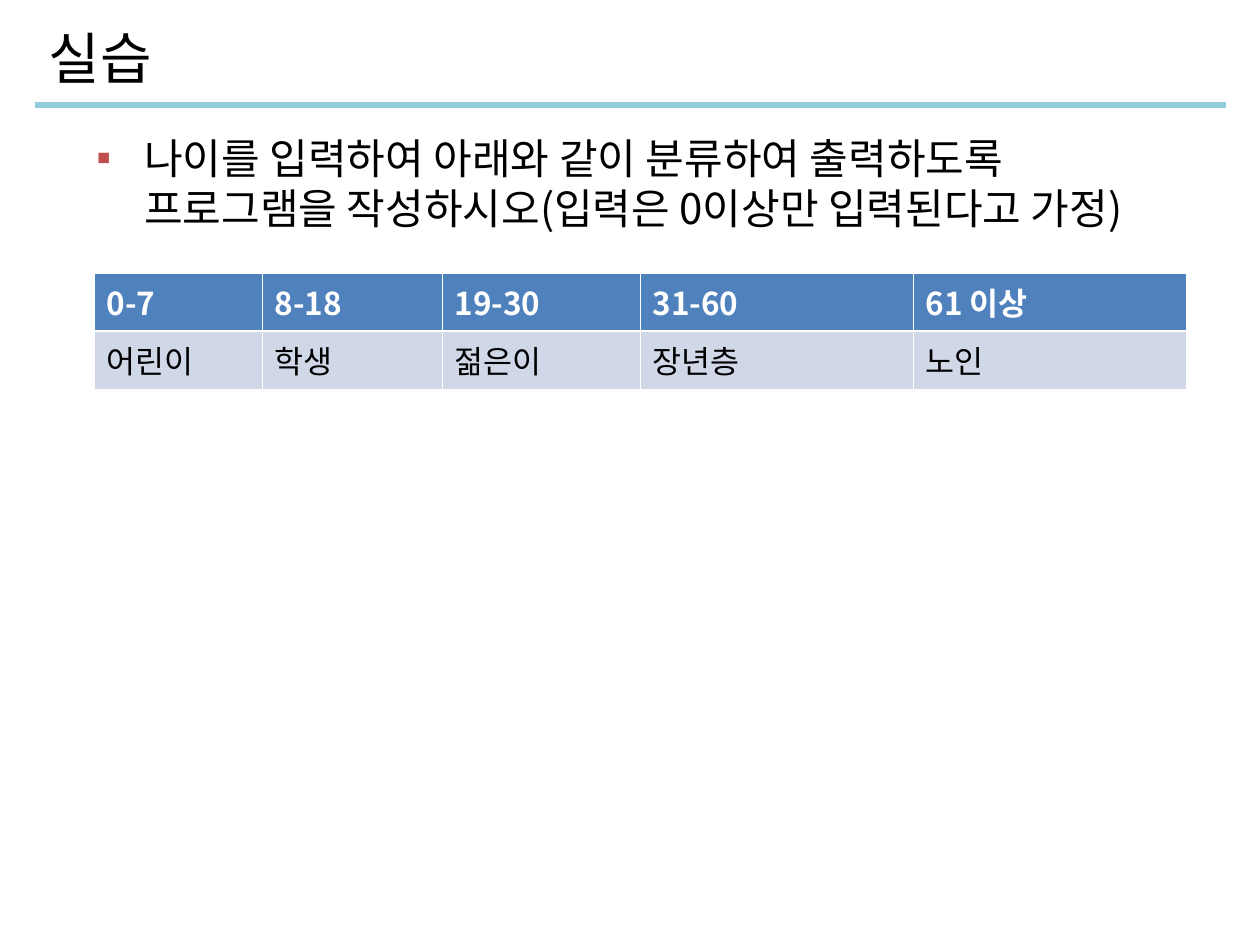
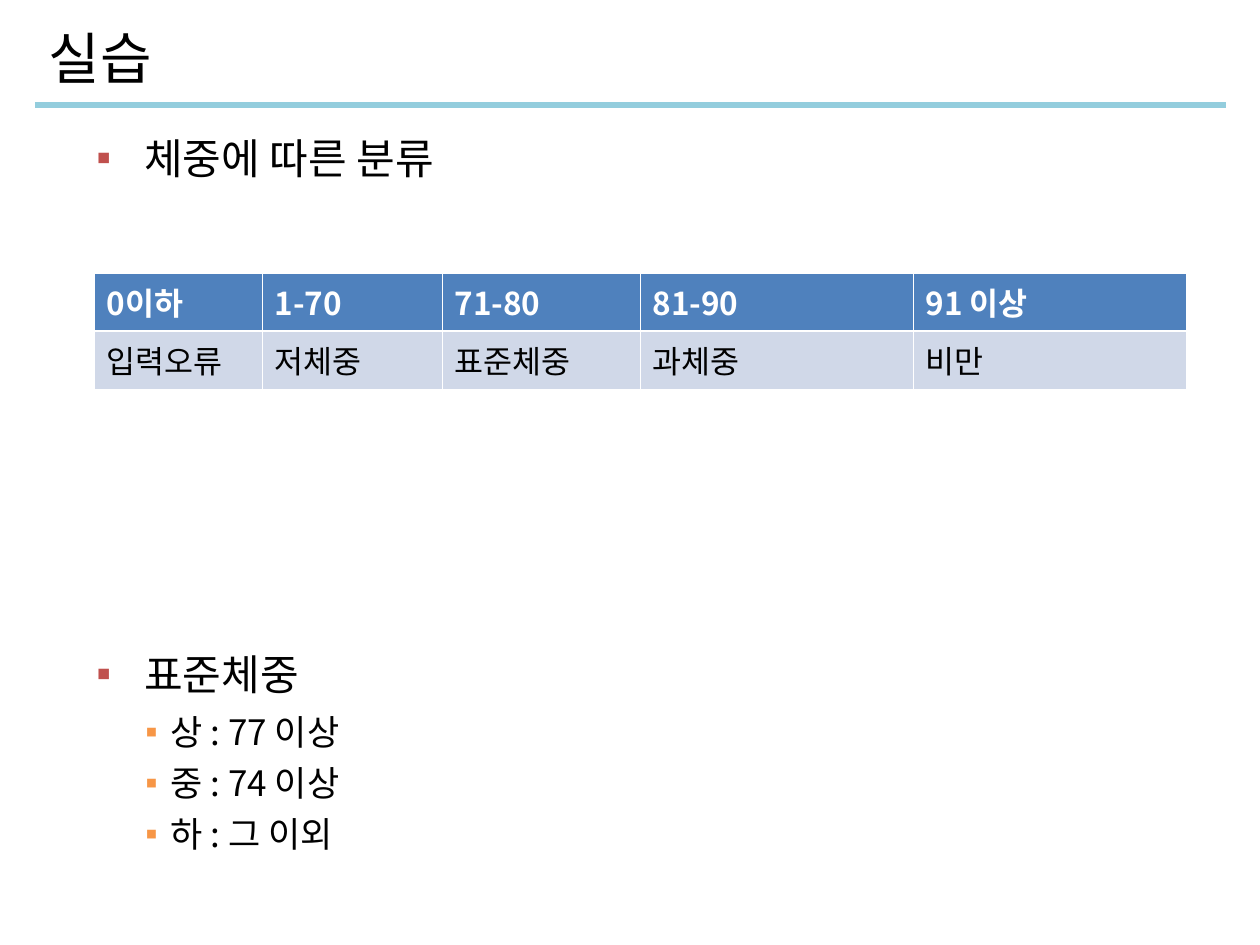
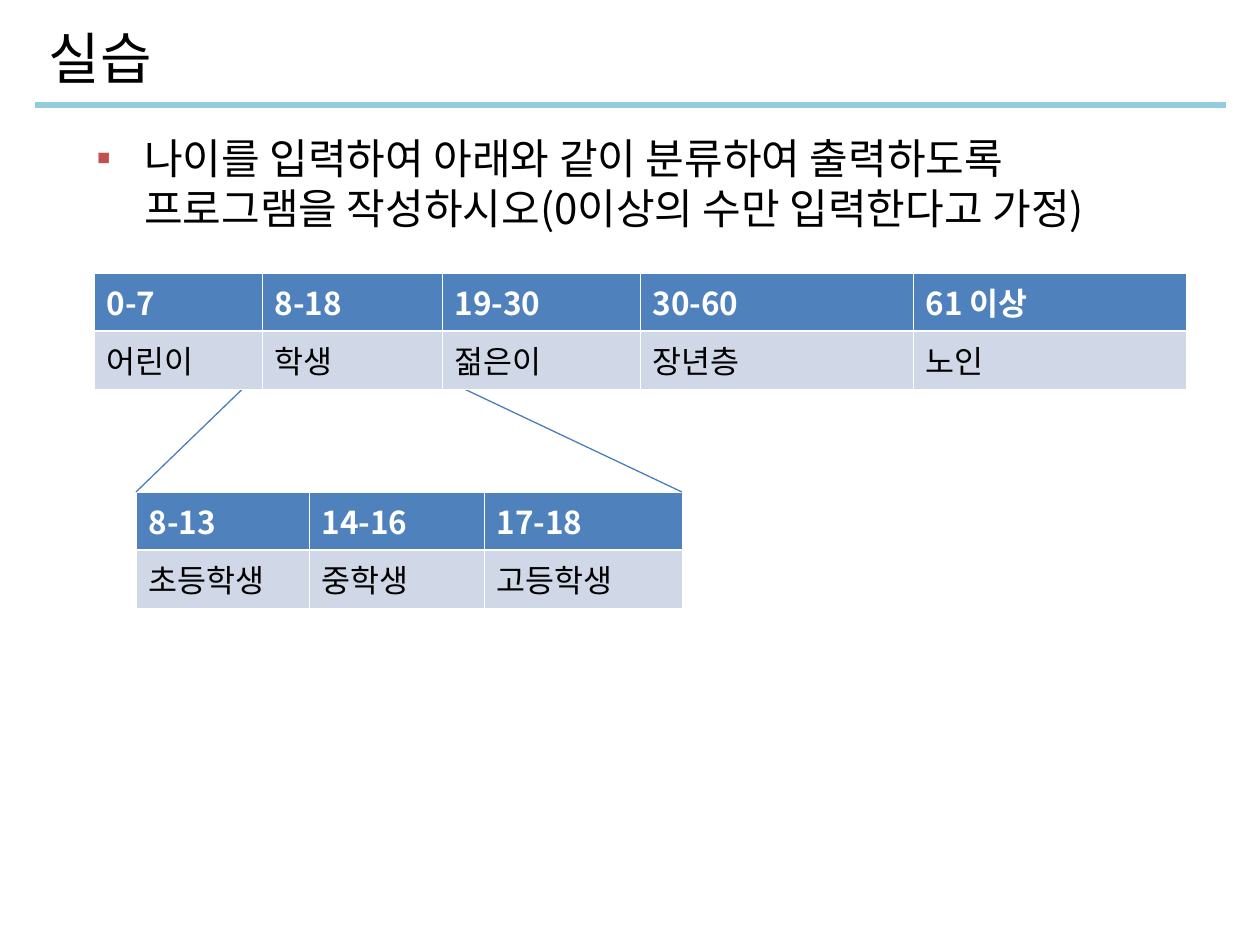
from pptx import Presentation
from pptx.dml.color import RGBColor as RGB
from pptx.enum.shapes import MSO_CONNECTOR as CONNECTOR
from pptx.enum.text import MSO_ANCHOR as ANCHOR, PP_ALIGN as ALIGN
from pptx.oxml.ns import qn
from pptx.util import Pt
from lxml.etree import SubElement

PX = 914400 / 126
FONT = "Noto Sans CJK KR"
BULLET_FONT = "Arial"
BLACK = RGB(0x00, 0x00, 0x00)
WHITE = RGB(0xFF, 0xFF, 0xFF)
RULE = RGB(0x93, 0xCD, 0xDD)
HEADER = RGB(0x4F, 0x81, 0xBD)
ROW = RGB(0xD0, 0xD8, 0xE8)
CALLOUT = RGB(0x4A, 0x7E, 0xBB)
RED = RGB(0xC0, 0x50, 0x4D)
ORANGE = RGB(0xF7, 0x96, 0x46)

# Bullet levels: text format, paragraph spacing, indent in px, bullet colour
LEVELS = [
    {"size": 24, "spacing": {"space_before": Pt(6), "space_after": Pt(2)},
     "left": 48, "hang": 48, "bullet": RED},
    {"size": 20, "spacing": {"space_before": Pt(5), "space_after": Pt(0)},
     "left": 74, "hang": 25, "bullet": ORANGE},
]

CLASS_COLUMNS = [168, 180, 198, 273, 273]
STUDENT_COLUMNS = [173, 175, 198]
AGE_NAMES = ["어린이", "학생", "젊은이", "장년층", "노인"]
ROW_HEIGHT = 58
THIN, THICK = 0.45, 1.47


def px(*lengths):
    return [round(length * PX) for length in lengths]


def apply(target, values):
    for name, value in values.items():
        setattr(target, name, value)


def write(paragraph, text, size, color=BLACK, bold=False):
    run = paragraph.add_run()
    run.text = text
    apply(run.font, {"size": Pt(size), "name": FONT, "bold": bold})
    run.font.color.rgb = color
    run.font._element.set("kern", "0")
    SubElement(run.font._element, qn("a:ea"), typeface=FONT)


def add_line(slide, start, end, color, width):
    line = slide.shapes.add_connector(CONNECTOR.STRAIGHT, *px(*start, *end))
    line.line.color.rgb = color
    line.line.width = Pt(width)
    SubElement(line._element.spPr, qn("a:effectLst"))


def add_exercise(deck):
    """Slide with the shared title and the rule under it."""
    slide = deck.slides.add_slide(deck.slide_layouts[5])
    add_line(slide, (35, 105), (1226, 105), RULE, 3.5)
    title = slide.shapes.title
    left, top, width, height = px(36, 11, 1124, 93)
    apply(title, {"left": left, "top": top, "width": width, "height": height})
    apply(title.text_frame, {"vertical_anchor": ANCHOR.MIDDLE, "word_wrap": True})
    heading = title.text_frame.paragraphs[0]
    heading.alignment = ALIGN.LEFT
    write(heading, "실습", 32)
    return slide


def add_bullets(slide, items, gaps=None):
    """Bullets from (level, text) pairs; gaps gives the points above an item."""
    frame = slide.shapes.add_textbox(*px(84, 126, 1124, 753)).text_frame
    frame.word_wrap = True
    for index, (level, text) in enumerate(items):
        style = LEVELS[level]
        item = frame.add_paragraph() if index else frame.paragraphs[0]
        apply(item, {"level": level, **style["spacing"]})
        if gaps and index in gaps:
            item.space_before = Pt(gaps[index])
        left, hang = px(style["left"], style["hang"])
        props = item._p.get_or_add_pPr()
        props.set("marL", str(left))
        props.set("indent", str(-hang))
        color = SubElement(props, qn("a:buClr"))
        SubElement(color, qn("a:srgbClr"), val=str(style["bullet"]))
        SubElement(props, qn("a:buFont"), typeface=BULLET_FONT)
        SubElement(props, qn("a:buChar"), char="▪")
        write(item, text, style["size"])


def add_borders(cell, widths):
    props = cell._tc.get_or_add_tcPr()
    for position, (side, width) in enumerate(widths.items()):
        border = props.makeelement(qn(f"a:{side}"), {"w": str(Pt(width))})
        fill = SubElement(border, qn("a:solidFill"))
        SubElement(fill, qn("a:srgbClr"), val=str(WHITE))
        props.insert(position, border)


def add_classes(slide, left, top, columns, ranges, names):
    """Table with the ranges as header and the class names below."""
    table = slide.shapes.add_table(
        2, len(columns), *px(left, top, sum(columns), 2 * ROW_HEIGHT)).table
    apply(table, {"first_row": False, "horz_banding": False})
    for column, width in zip(table.columns, px(*columns)):
        column.width = width
    rows = [(ranges, HEADER, WHITE, True, THIN, THICK),
            (names, ROW, BLACK, False, THICK, THIN)]
    for r, (texts, fill, color, bold, above, below) in enumerate(rows):
        for c, text in enumerate(texts):
            cell = table.cell(r, c)
            cell.fill.solid()
            cell.fill.fore_color.rgb = fill
            add_borders(cell, {"lnL": THIN, "lnR": THIN, "lnT": above, "lnB": below})
            write(cell.text_frame.paragraphs[0], text, 18, color, bold)


def add_main_classes(slide, ranges, names):
    add_classes(slide, 94, 273, CLASS_COLUMNS, ranges, names)


def main():
    deck = Presentation()
    deck.slide_width, deck.slide_height = px(1260, 945)

    # Age classes
    ages = add_exercise(deck)
    add_bullets(ages, [(0, "나이를 입력하여 아래와 같이 분류하여 출력하도록 "
                           "프로그램을 작성하시오(입력은 0이상만 입력된다고 가정)")])
    add_main_classes(ages, ["0-7", "8-18", "19-30", "31-60", "61 이상"], AGE_NAMES)

    # Weight classes
    weights = add_exercise(deck)
    add_bullets(weights, [(0, "체중에 따른 분류"), (0, "표준체중"), (1, "상 : 77 이상"),
                          (1, "중 : 74 이상"), (1, "하 : 그 이외")], gaps={1: 264})
    add_main_classes(weights, ["0이하", "1-70", "71-80", "81-90", "91 이상"],
                     ["입력오류", "저체중", "표준체중", "과체중", "비만"])

    # Age classes with the students split further
    students = add_exercise(deck)
    add_bullets(students, [(0, "나이를 입력하여 아래와 같이 분류하여 출력하도록 "
                               "프로그램을 작성하시오(0이상의 수만 입력한다고 가정)")])
    left, top = 136, 492
    add_classes(students, left, top, STUDENT_COLUMNS, ["8-13", "14-16", "17-18"],
                ["초등학생", "중학생", "고등학생"])
    add_line(students, (left, top), (257, 375), CALLOUT, 0.75)
    add_line(students, (441, 378), (left + sum(STUDENT_COLUMNS), top), CALLOUT, 0.75)
    add_main_classes(students, ["0-7", "8-18", "19-30", "30-60", "61 이상"], AGE_NAMES)

    deck.save("out.pptx")


if __name__ == "__main__":
    main()
